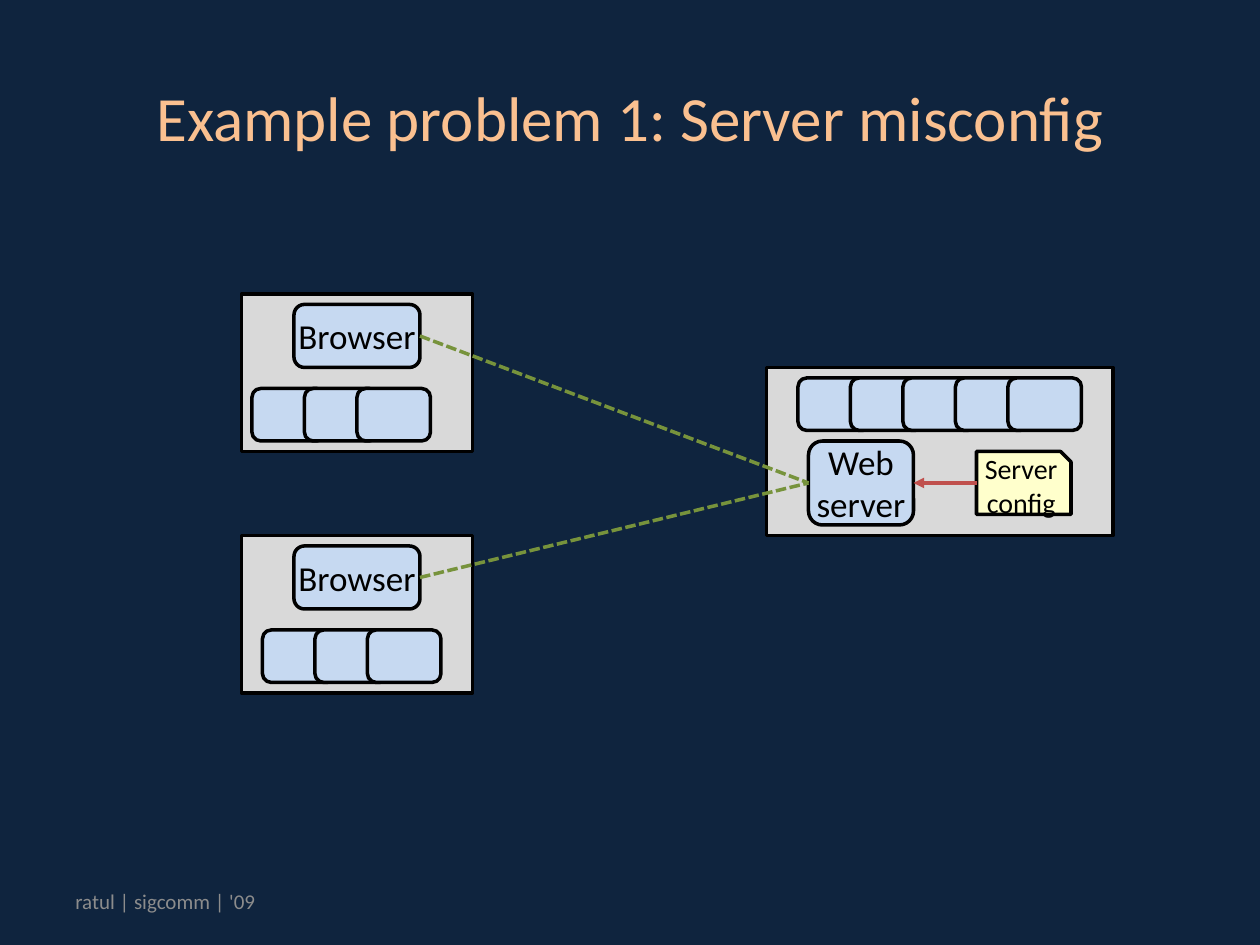
from lxml.etree import SubElement
from pptx import Presentation
from pptx.dml.color import RGBColor
from pptx.enum.dml import MSO_LINE
from pptx.enum.shapes import MSO_CONNECTOR, MSO_SHAPE
from pptx.enum.text import MSO_ANCHOR, PP_ALIGN
from pptx.oxml.ns import qn
from pptx.util import Inches, Pt

NAVY = RGBColor(0x0F, 0x24, 0x3E)
PEACH = RGBColor(0xFA, 0xC0, 0x90)
GRAY = RGBColor(0x8C, 0x8C, 0x8C)
HOST_GRAY = RGBColor(0xD9, 0xD9, 0xD9)
PROCESS_BLUE = RGBColor(0xC6, 0xD9, 0xF1)
NOTE_YELLOW = RGBColor(0xFF, 0xFF, 0xCC)
GREEN = RGBColor(0x77, 0x93, 0x3C)
RED = RGBColor(0xC0, 0x50, 0x4D)
BLACK = RGBColor(0, 0, 0)

CELLS_PER_INCH = 12  # the diagram sits on a grid of twelve cells to the inch
LEFT_SIDE, RIGHT_SIDE = 1, 3  # connection sites


def grid(*cells):
    return [Inches(cell / CELLS_PER_INCH) for cell in cells]


def write(frame, text, size, color, align=PP_ALIGN.CENTER, margin=None):
    frame.word_wrap = True
    frame.vertical_anchor = MSO_ANCHOR.MIDDLE
    if margin is not None:
        frame.margin_left = frame.margin_right = margin
        frame.margin_top = frame.margin_bottom = margin
    frame.text = text
    paragraph = frame.paragraphs[0]
    paragraph.alignment = align
    paragraph.font.name = "Calibri"
    paragraph.font.size = Pt(size)
    paragraph.font.color.rgb = color


def add_box(slide, kind, place, fill, text=None, size=20):
    box = slide.shapes.add_shape(kind, *grid(*place))
    box.shadow.inherit = False
    box.fill.solid()
    box.fill.fore_color.rgb = fill
    box.line.color.rgb = BLACK
    box.line.width = Pt(2)
    if text:
        write(box.text_frame, text, size, BLACK, margin=0)
    return box


def add_processes(slide, column, row, count):
    for index in range(count):
        add_box(slide, MSO_SHAPE.ROUNDED_RECTANGLE,
                (column + 5 * index, row, 7, 5), PROCESS_BLUE)


def add_client(slide, row, process_column):
    """Draw a client host and return its browser."""
    add_box(slide, MSO_SHAPE.RECTANGLE, (23, row, 22, 15), HOST_GRAY)
    browser = add_box(slide, MSO_SHAPE.ROUNDED_RECTANGLE,
                      (28, row + 1, 12, 6), PROCESS_BLUE, "Browser")
    add_processes(slide, process_column, row + 9, 3)
    return browser


def add_link(slide, source, target, sides, color, dash=None, arrow=False):
    link = slide.shapes.add_connector(MSO_CONNECTOR.STRAIGHT, 0, 0, 0, 0)
    link.begin_connect(source, sides[0])
    link.end_connect(target, sides[1])
    link.line.color.rgb = color
    link.line.width = Pt(2)
    if dash:
        link.line.dash_style = dash
    if arrow:
        SubElement(link.line._get_or_add_ln(), qn("a:tailEnd"), type="triangle")
    SubElement(link._element.spPr, qn("a:effectLst"))


def main():
    deck = Presentation()
    deck.slide_width, deck.slide_height = Inches(10), Inches(7.5)
    slide = deck.slides.add_slide(deck.slide_layouts[5])
    slide.background.fill.solid()
    slide.background.fill.fore_color.rgb = NAVY

    # Title and footer
    title = slide.shapes.title
    title.left, title.top = Inches(0.5), Inches(0.3)
    title.width, title.height = Inches(9), Inches(1.25)
    write(title.text_frame, "Example problem 1: Server misconfig", 36, PEACH)
    footer = slide.shapes.add_textbox(
        Inches(0.5), Inches(6.95), Inches(3.08), Inches(0.4))
    write(footer.text_frame, "ratul | sigcomm | '09", 12, GRAY, PP_ALIGN.LEFT)

    # Server host
    add_box(slide, MSO_SHAPE.RECTANGLE, (73, 35, 33, 16), HOST_GRAY)
    add_processes(slide, 76, 36, 5)
    web_server = add_box(slide, MSO_SHAPE.ROUNDED_RECTANGLE,
                         (77, 42, 10, 8), PROCESS_BLUE, "Web server")
    config = add_box(slide, MSO_SHAPE.SNIP_1_RECTANGLE,
                     (93, 43, 9, 6), NOTE_YELLOW, "Server config", size=16)

    # Client hosts and their dependence on the server
    for row, process_column in ((28, 24), (51, 25)):
        browser = add_client(slide, row, process_column)
        add_link(slide, browser, web_server, (RIGHT_SIDE, LEFT_SIDE), GREEN,
                 dash=MSO_LINE.SQUARE_DOT)
    add_link(slide, config, web_server, (LEFT_SIDE, RIGHT_SIDE), RED, arrow=True)

    deck.save("out.pptx")


if __name__ == "__main__":
    main()
